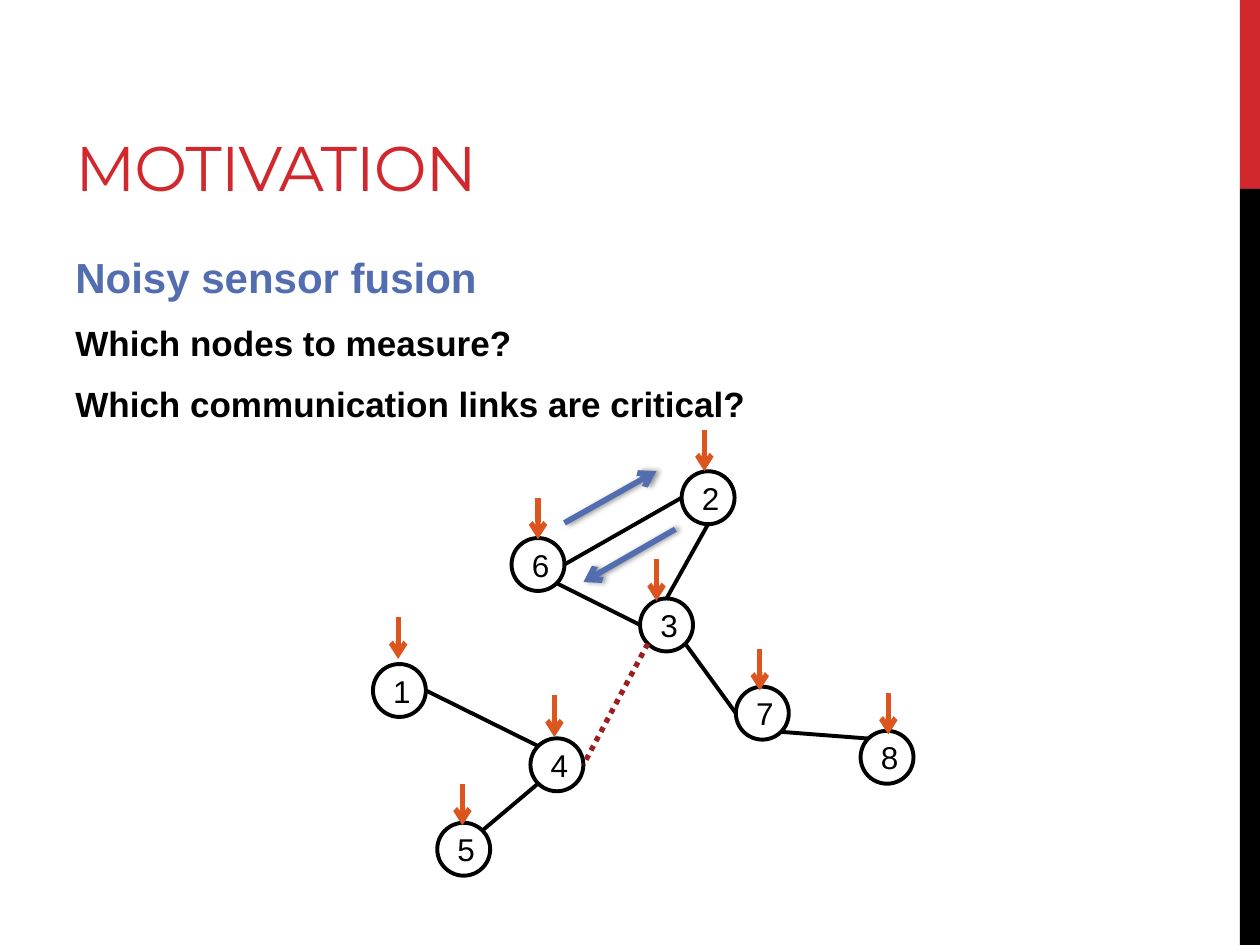
from math import cos, radians, sin

from lxml.etree import SubElement
from pptx import Presentation
from pptx.dml.color import RGBColor
from pptx.enum.dml import MSO_LINE
from pptx.enum.shapes import MSO_CONNECTOR, MSO_SHAPE
from pptx.enum.text import MSO_ANCHOR, PP_ALIGN
from pptx.oxml.ns import qn
from pptx.util import Inches, Pt

RED, BLACK, WHITE = "D1282E", "000000", "FFFFFF"
BLUE, ORANGE, DARK_RED = "526DB0", "DC551F", "9D1E22"

TITLE = "MOTIVATION"
# text, size, colour
BODY = [
    ("Noisy sensor fusion", 24, BLUE),
    ("Which nodes to measure?", 20, BLACK),
    ("Which communication links are critical?", 20, BLACK),
]
SIDE_BARS = [(0, 1.5, RED), (1.5, 6, BLACK)]  # top, height, colour

# node: left and top of its circle, start of its measurement arrow
NODES = {
    "6": ((4.06, 4.27), (4.27, 3.95)),
    "2": ((5.41, 3.74), (5.59, 3.41)),
    "3": ((5.08, 4.75), (5.21, 4.44)),
    "8": ((6.83, 5.8), (7.05, 5.5)),
    "7": ((5.84, 5.45), (6.03, 5.15)),
    "1": ((2.96, 5.27), (3.16, 4.9)),
    "5": ((3.47, 6.53), (3.67, 6.22)),
    "4": ((4.21, 5.86), (4.4, 5.52)),
}
NODE_SIZE, MEASUREMENT_LENGTH = 0.42, 0.33

# node and angle on its circle (clockwise from the right), for both ends
LINKS = [
    ("3", 180, "6", 45),
    ("3", 270, "2", 90),
    ("2", 180, "6", 0),
    ("7", 45, "8", 225),
    ("3", 45, "7", 180),
    ("1", 0, "4", 225),
    ("5", 315, "4", 135),
]
CRITICAL_LINK = ("3", 135, "4", 0)
MESSAGES = [((4.48, 4.15), (5.21, 3.74)), ((5.36, 4.2), (4.63, 4.62))]

prs = Presentation()
prs.slide_width, prs.slide_height = Inches(10), Inches(7.5)
slide = prs.slides.add_slide(prs.slide_layouts[6])


def color(hex_value):
    return RGBColor.from_string(hex_value)


def write(paragraph, text, size, fill, font="Arial", bold=False, spacing=None):
    run = paragraph.add_run()
    run.text = text
    run.font.name, run.font.size, run.font.bold = font, Pt(size), bold
    run.font.color.rgb = color(fill)
    if spacing is not None:
        run.font._element.set("spc", str(round(spacing * 100)))


def add_box(left, top, width, height, anchor):
    box = slide.shapes.add_textbox(*map(Inches, (left, top, width, height)))
    box.text_frame.word_wrap = True
    box.text_frame.vertical_anchor = anchor
    return box.text_frame


def add_filled(kind, left, top, width, height, fill):
    shape = slide.shapes.add_shape(kind, *map(Inches, (left, top, width, height)))
    shape.shadow.inherit = False
    shape.fill.solid()
    shape.fill.fore_color.rgb = color(fill)
    shape.line.fill.background()
    return shape


def add_line(start, end, stroke, width, arrow=False, dash=None, shadow=False):
    line = slide.shapes.add_connector(
        MSO_CONNECTOR.STRAIGHT, *map(Inches, (*start, *end)))
    line.line.color.rgb = color(stroke)
    line.line.width = Pt(width)
    if dash is not None:
        line.line.dash_style = dash
    properties = line._element.spPr
    if arrow:
        SubElement(properties.find(qn("a:ln")), qn("a:tailEnd"), type="arrow")
    effects = SubElement(properties, qn("a:effectLst"))
    if shadow:
        outer = SubElement(effects, qn("a:outerShdw"), blurRad=str(Pt(3.1)),
                           dist=str(Pt(1.8)), dir="0", rotWithShape="0")
        shade = SubElement(outer, qn("a:srgbClr"), val=BLACK)
        SubElement(shade, qn("a:alpha"), val="40000")


def rim_point(node, angle):
    radius = NODE_SIZE / 2
    left, top = NODES[node][0]
    return (left + radius * (1 + cos(radians(angle))),
            top + radius * (1 + sin(radians(angle))))


def add_link(node_a, angle_a, node_b, angle_b, stroke, width, dash=None):
    add_line(rim_point(node_a, angle_a), rim_point(node_b, angle_b),
             stroke, width, dash=dash)


# Side bars
for top, height, fill in SIDE_BARS:
    add_filled(MSO_SHAPE.RECTANGLE, 9.84, top, 0.16, height, fill)

# Title and body
title = add_box(0.5, 0.17, 6.33, 1.5, MSO_ANCHOR.BOTTOM)
write(title.paragraphs[0], TITLE, 36, RED, font="Montserrat", spacing=-0.6)

body = add_box(0.5, 1.95, 8.33, 1.5, MSO_ANCHOR.TOP)
for i, (text, size, fill) in enumerate(BODY):
    paragraph = body.add_paragraph() if i else body.paragraphs[0]
    paragraph.space_before = Pt(5 if i else 0)
    paragraph.space_after = Pt(6)
    write(paragraph, text, size, fill, bold=True)

# Sensor nodes
for number, (corner, _) in NODES.items():
    node = add_filled(MSO_SHAPE.OVAL, *corner, NODE_SIZE, NODE_SIZE, WHITE)
    node.line.color.rgb = color(BLACK)
    node.line.width = Pt(2.25)
    label = node.text_frame
    label.margin_top = label.margin_right = label.margin_bottom = 0
    label.margin_left = Inches(0.04)
    label.vertical_anchor = MSO_ANCHOR.MIDDLE
    label.paragraphs[0].alignment = PP_ALIGN.CENTER
    write(label.paragraphs[0], number, 18, BLACK)

# Communication links
for link in LINKS:
    add_link(*link, BLACK, 2.25)
add_link(*CRITICAL_LINK, DARK_RED, 3, dash=MSO_LINE.ROUND_DOT)

# Measurement arrows
for _, (x, y) in NODES.values():
    add_line((x, y), (x, y + MEASUREMENT_LENGTH), ORANGE, 3, arrow=True)

# Messages between nodes 6 and 2
for start, end in MESSAGES:
    add_line(start, end, BLUE, 3.25, arrow=True, shadow=True)

prs.save("out.pptx")
